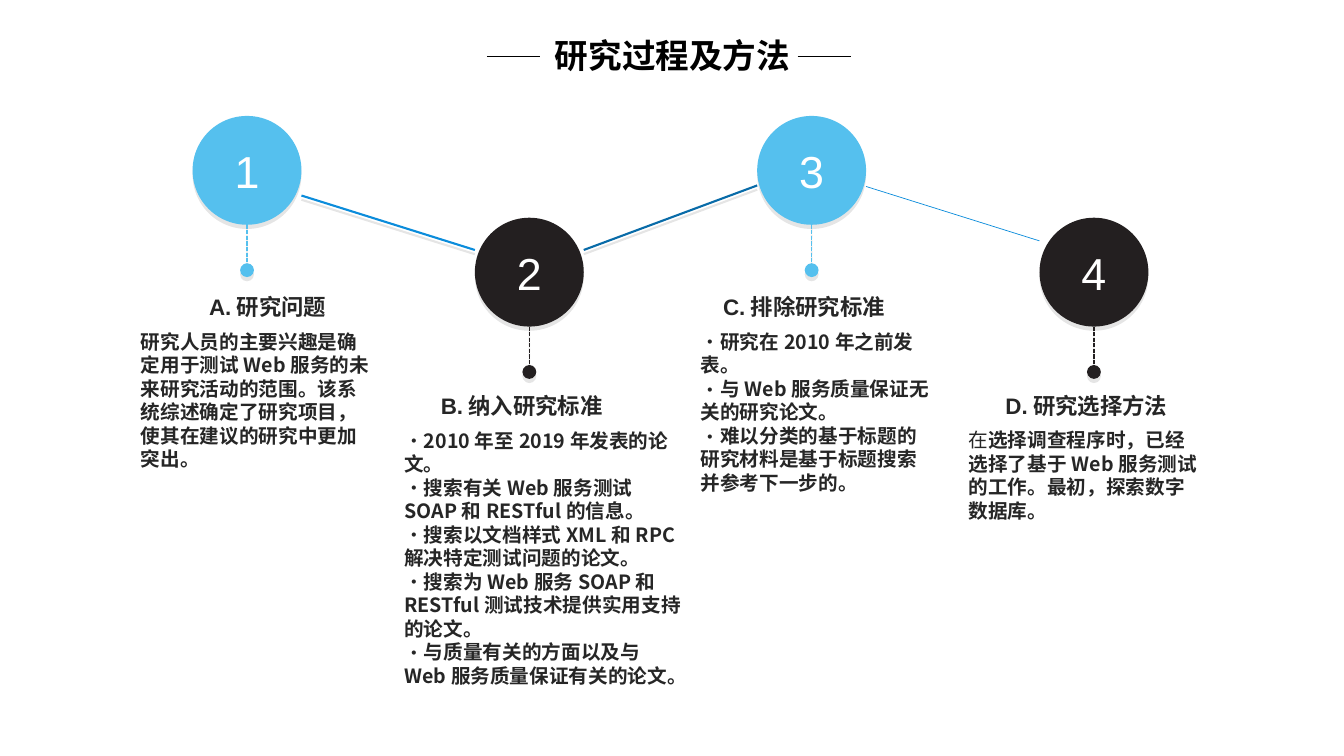
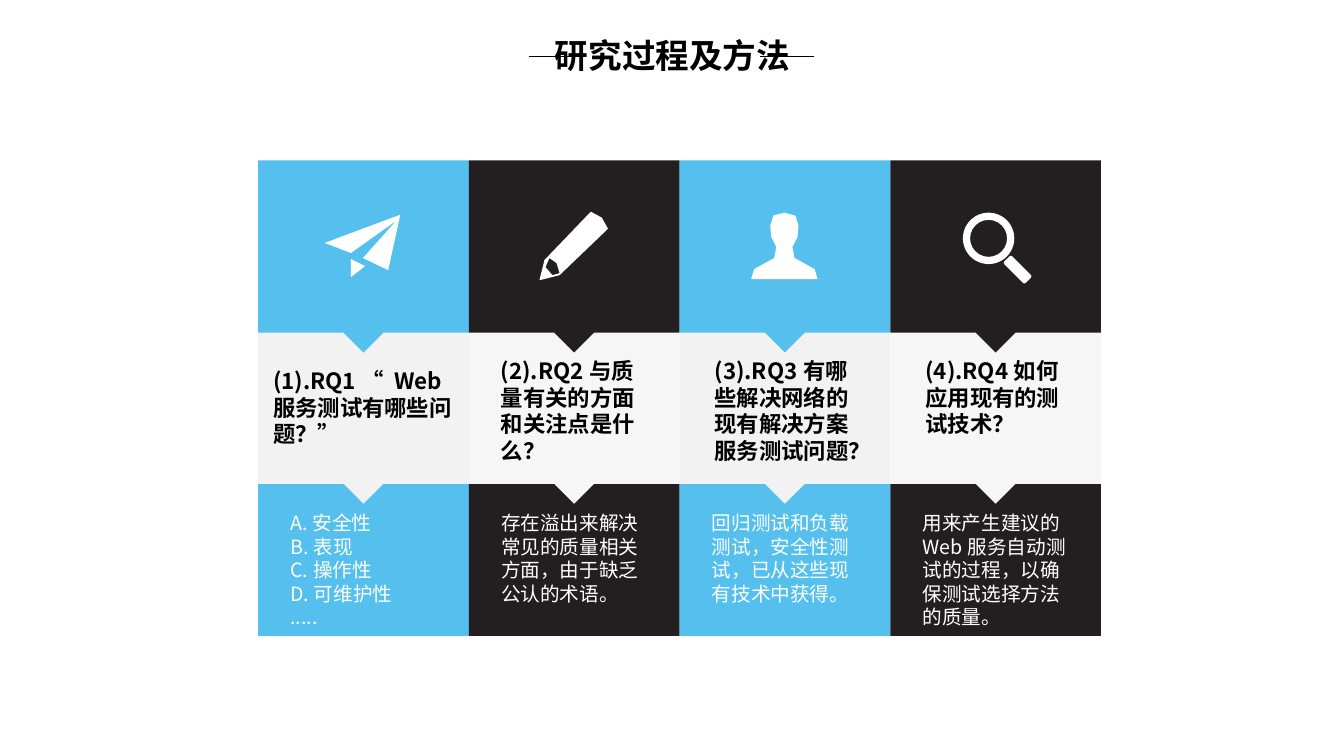
from lxml.etree import SubElement
from pptx import Presentation
from pptx.dml.color import RGBColor
from pptx.enum.dml import MSO_LINE
from pptx.enum.shapes import MSO_CONNECTOR, MSO_SHAPE
from pptx.enum.text import MSO_ANCHOR, MSO_AUTO_SIZE, PP_ALIGN
from pptx.oxml.ns import qn
from pptx.util import Inches, Pt

# Shared look
BLUE, BLACK, WHITE, INK = "55C0EE", "231F20", "FFFFFF", "262626"
CJK, LATIN = "Noto Sans CJK SC", "Arial"
ACCENTS = (BLUE, BLACK) * 2
TITLE = "研究过程及方法"
TITLE_FORMAT = dict(size=24, bold=True, color="000000", name=CJK)
NUMBER_FORMAT = dict(size=32, bold=False, color=WHITE, name=LATIN)
HEADING_FORMAT = dict(size=16, bold=True, color=INK, name=LATIN)
BODY_FORMAT = dict(size=14, bold=True, color=INK, name=CJK)
QUESTION_FORMAT = dict(size=16, bold=True, color="000000", name=CJK)
ANSWER_FORMAT = dict(size=14, bold=False, color=WHITE, name=CJK)

# Process slide: circles alternate between two levels (circle top, heading top)
CIRCLE, FIRST, PITCH, STEM = 1.08, 1.91, 2.8, 0.45
LEVELS = ((1.15, 2.89), (2.16, 3.87)) * 2
STEPS = [
    dict(heading="A.研究问题", heading_left=1.39, left=1.3, width=2.53,
         body=["研究人员的主要兴趣是确定用于测试Web服务的未来研究活动的范围。"
               "该系统综述确定了研究项目，使其在建议的研究中更加突出。"]),
    dict(heading="B.纳入研究标准", heading_left=3.91, left=3.91, width=2.95, holder=1,
         body=["2010年至2019年发表的论文。",
               "搜索有关Web服务测试SOAP和RESTful的信息。",
               "搜索以文档样式XML和RPC解决特定测试问题的论文。",
               "搜索为Web服务SOAP和RESTful测试技术提供实用支持的论文。",
               "与质量有关的方面以及与Web服务质量保证有关的论文。"]),
    dict(heading="C.排除研究标准", heading_left=6.71, left=6.85, width=2.49, holder=2,
         body=["研究在2010年之前发表。",
               "与Web服务质量保证无关的研究论文。",
               "难以分类的基于标题的研究材料是基于标题搜索并参考下一步的。"]),
    dict(heading="D.研究选择方法", heading_left=9.51, left=9.51, width=2.53,
         body=[[("在", dict(name=LATIN, bold=False)),
                ("选择调查程序时，已经选择了基于Web服务测试的工作。最初，探索数字数据库。", {})]]),
]
LINKS = [  # start and end height, colour, width, shadow
    (1.94, 2.48, "0B8CDB", 1.5, True),
    (2.48, 1.84, "086BA8", 1.5, True),
    (1.85, 2.39, "0B8CDB", 0.5, False),
]

# Question slide: grid of four columns and three bands
GRID_LEFT, COLUMN, TIP = 2.56, 2.09, 0.28
BANDS = dict(top=(1.59, 1.71), middle=(3.29, 1.51), bottom=(4.8, 1.51))
QUESTIONS = [  # question, its inset, top and width, then the answer
    ("(1).RQ1“ Web服务测试有哪些问题？”", (0.05, 3.59, 1.98),
     ["A.安全性", "B.表现", "C.操作性", "D.可维护性", "....."]),
    ("(2).RQ2与质量有关的方面和关注点是什么？", (0.22, 3.49, 1.57),
     ["存在溢出来解决常见的质量相关方面，由于缺乏公认的术语。"]),
    ("(3).RQ3有哪些解决网络的现有解决方案服务测试问题？", (0.25, 3.49, 1.57),
     ["回归测试和负载测试，安全性测试，已从这些现有技术中获得。"]),
    ("(4).RQ4如何应用现有的测试技术？", (0.25, 3.49, 1.57),
     ["用来产生建议的Web服务自动测试的过程，以确保测试选择方法的质量。"]),
]
# Icon outlines in hundredths of an inch
PLANE = [[(0, 28), (75, 0), (63, 55), (38, 43), (71, 6), (26, 38)],
         [(26, 44), (40, 51), (26, 62)]]
PENCIL = [[(51, 0), (5, 48), (0, 68), (20, 63), (68, 17), (62, 6)],
          [(10, 46), (6, 55), (13, 63), (20, 61), (17, 51)]]
HALF_PERSON = [(33, 0), (22, 3), (19, 13), (20, 24), (25, 34), (23, 45), (3, 56), (0, 66)]
PERSON = [HALF_PERSON + [(66 - x, y) for x, y in reversed(HALF_PERSON)]]
LENS, RIM, HANDLE = 0.51, 0.14, (0.3, 0.11)


def rgb(code):
    return RGBColor.from_string(code)


def inches(*values):
    return [Inches(value) for value in values]


# Effects, lines and shapes
def set_shadow(shape, visible):
    """Replace the theme shadow with a flat drop shadow or with none."""
    effects = SubElement(shape.element.find(qn("p:spPr")), qn("a:effectLst"))
    if visible:
        drop = SubElement(effects, qn("a:outerShdw"), blurRad="0", dist="38100",
                          dir="5400000", algn="t", rotWithShape="0")
        black = SubElement(drop, qn("a:srgbClr"), val="000000")
        SubElement(black, qn("a:alpha"), val="10000")


def add_line(slide, start, end, color, width, shadow=False, stem=False):
    line = slide.shapes.add_connector(MSO_CONNECTOR.STRAIGHT, *inches(*start, *end))
    line.line.color.rgb = rgb(color)
    line.line.width = Pt(width)
    if stem:
        line.line.dash_style = MSO_LINE.SQUARE_DOT
        outline = line.element.find(qn("p:spPr")).find(qn("a:ln"))
        SubElement(outline, qn("a:tailEnd"), type="oval", w="lg", len="lg")
    set_shadow(line, shadow)


def paint(shape, color, shadow=False):
    shape.fill.solid()
    shape.fill.fore_color.rgb = rgb(color)
    shape.line.fill.background()
    set_shadow(shape, shadow)


def add_block(slide, kind, place, color, shadow=False, rotation=0):
    shape = slide.shapes.add_shape(kind, *inches(*place))
    shape.rotation = rotation
    paint(shape, color, shadow)
    return shape


# Icons
def add_outline(slide, left, top, outlines):
    first, *others = outlines
    builder = slide.shapes.build_freeform(*first[0], scale=Inches(0.01))
    builder.add_line_segments(first[1:], close=True)
    for points in others:
        builder.move_to(*points[0])
        builder.add_line_segments(points[1:], close=True)
    paint(builder.convert_to_shape(*inches(left, top)), WHITE)


def add_magnifier(slide, left, top):
    lens = add_block(slide, MSO_SHAPE.DONUT, (left, top, LENS, LENS), WHITE)
    lens.adjustments[0] = RIM
    length, width = HANDLE
    add_block(slide, MSO_SHAPE.ROUNDED_RECTANGLE,
              (left + LENS * 0.77, top + LENS, length, width), WHITE, rotation=45)


def add_icons(slide):
    for left, top, outlines in ((3.22, 2.13, PLANE), (5.35, 2.1, PENCIL),
                                (7.45, 2.11, PERSON)):
        add_outline(slide, left, top, outlines)
    add_magnifier(slide, 9.55, 2.11)


# Text
def format_span(span, values):
    font = span.font
    font.color.rgb = rgb(values["color"])
    for key, value in values.items():
        if key != "color":
            setattr(font, key, Pt(value) if key == "size" else value)
    SubElement(span._r.get_or_add_rPr(), qn("a:ea"), typeface=CJK)


def set_bullet(para):
    props = para._p.get_or_add_pPr()
    props.set("marL", "0")
    props.set("indent", "0")
    SubElement(props, qn("a:buFont"), typeface=CJK)
    SubElement(props, qn("a:buChar"), char="•")


def write(shape, paragraphs, values, bullets=False, frame_format=None, **para_format):
    """Fill a shape; a paragraph is a string or a list of (text, overrides)."""
    frame = shape.text_frame
    settings = dict(word_wrap=True, auto_size=MSO_AUTO_SIZE.NONE,
                    vertical_anchor=MSO_ANCHOR.TOP)
    for key, value in {**settings, **(frame_format or {})}.items():
        setattr(frame, key, value)
    for index, content in enumerate(paragraphs):
        para = frame.add_paragraph() if index else frame.paragraphs[0]
        for key, value in {"space_before": Pt(0), **para_format}.items():
            setattr(para, key, value)
        if bullets:
            set_bullet(para)
        for text, changes in [(content, {})] if isinstance(content, str) else content:
            span = para.add_run()
            span.text = text
            format_span(span, {**values, **changes})


def add_text(slide, place, paragraphs, values, **options):
    write(slide.shapes.add_textbox(*inches(*place)), paragraphs, values, **options)


def move(shape, place):
    for key, value in zip(("left", "top", "width", "height"), inches(*place)):
        setattr(shape, key, value)
    return shape


def add_page(deck, layout, rule_lefts):
    """New slide with the shared title and a short rule on each side of it."""
    slide = deck.slides.add_slide(deck.slide_layouts[layout])
    title = move(slide.shapes.title, (4.56, 0.3, 4.22, 0.5))
    write(title, [TITLE], TITLE_FORMAT, alignment=PP_ALIGN.CENTER)
    for left in rule_lefts:
        add_line(slide, (left, 0.56), (left + 0.53, 0.56), "000000", 1)
    return slide


# Slides
def build_process(deck):
    slide = add_page(deck, 3, (4.83, 7.91))
    for index, (start, end, *style) in enumerate(LINKS):
        left = FIRST + index * PITCH
        add_line(slide, (left + CIRCLE, start), (left + PITCH, end), *style)
    for index, (step, color, level) in enumerate(zip(STEPS, ACCENTS, LEVELS)):
        left, (top, heading_top) = FIRST + index * PITCH, level
        circle = add_block(slide, MSO_SHAPE.OVAL, (left, top, CIRCLE, CIRCLE), color, True)
        write(circle, [str(index + 1)], NUMBER_FORMAT, alignment=PP_ALIGN.CENTER,
              frame_format=dict(vertical_anchor=MSO_ANCHOR.MIDDLE))
        center, bottom = left + CIRCLE / 2, top + CIRCLE
        add_line(slide, (center, bottom), (center, bottom + STEM), color, 1, True, True)
        add_text(slide, (step["heading_left"], heading_top, 2.53, 0.34), [step["heading"]],
                 HEADING_FORMAT, alignment=PP_ALIGN.CENTER, line_spacing=0.9,
                 space_before=Pt(6))
        rows = 2 * len(step["body"]) + 1 if "holder" in step else 5
        place = (step["left"], heading_top + 0.33, step["width"], rows * 0.23 + 0.1)
        if "holder" in step:
            body = move(slide.placeholders[step["holder"]], place)
            write(body, step["body"], BODY_FORMAT, bullets=True)
        else:
            add_text(slide, place, step["body"], BODY_FORMAT)


def build_questions(deck):
    slide = add_page(deck, 5, (5.25, 7.54))
    flush = {f"margin_{side}": 0 for side in ("left", "top", "right", "bottom")}
    for index, (question, (inset, text_top, width), answer) in enumerate(QUESTIONS):
        left = GRID_LEFT + index * COLUMN
        accent, pale = ACCENTS[index], ("F2F2F2", "F6F6F6")[index % 2]
        for band, color in (("bottom", accent), ("middle", pale), ("top", accent)):
            top, height = BANDS[band]
            add_block(slide, MSO_SHAPE.RECTANGLE, (left, top, COLUMN, height), color)
            if band != "bottom":
                tip = (left + (COLUMN - TIP) / 2, top + height - TIP / 2, TIP, TIP)
                add_block(slide, MSO_SHAPE.RECTANGLE, tip, color, rotation=45)
        add_text(slide, (left + inset, text_top, width, 1.18), [question], QUESTION_FORMAT)
        add_text(slide, (left + 0.32, 5.07, 1.43, 1.05), answer, ANSWER_FORMAT,
                 frame_format=flush)
    add_icons(slide)


def main():
    deck = Presentation()
    deck.slide_width, deck.slide_height = inches(13.33, 7.5)
    build_process(deck)
    build_questions(deck)
    deck.save("out.pptx")


if __name__ == "__main__":
    main()
